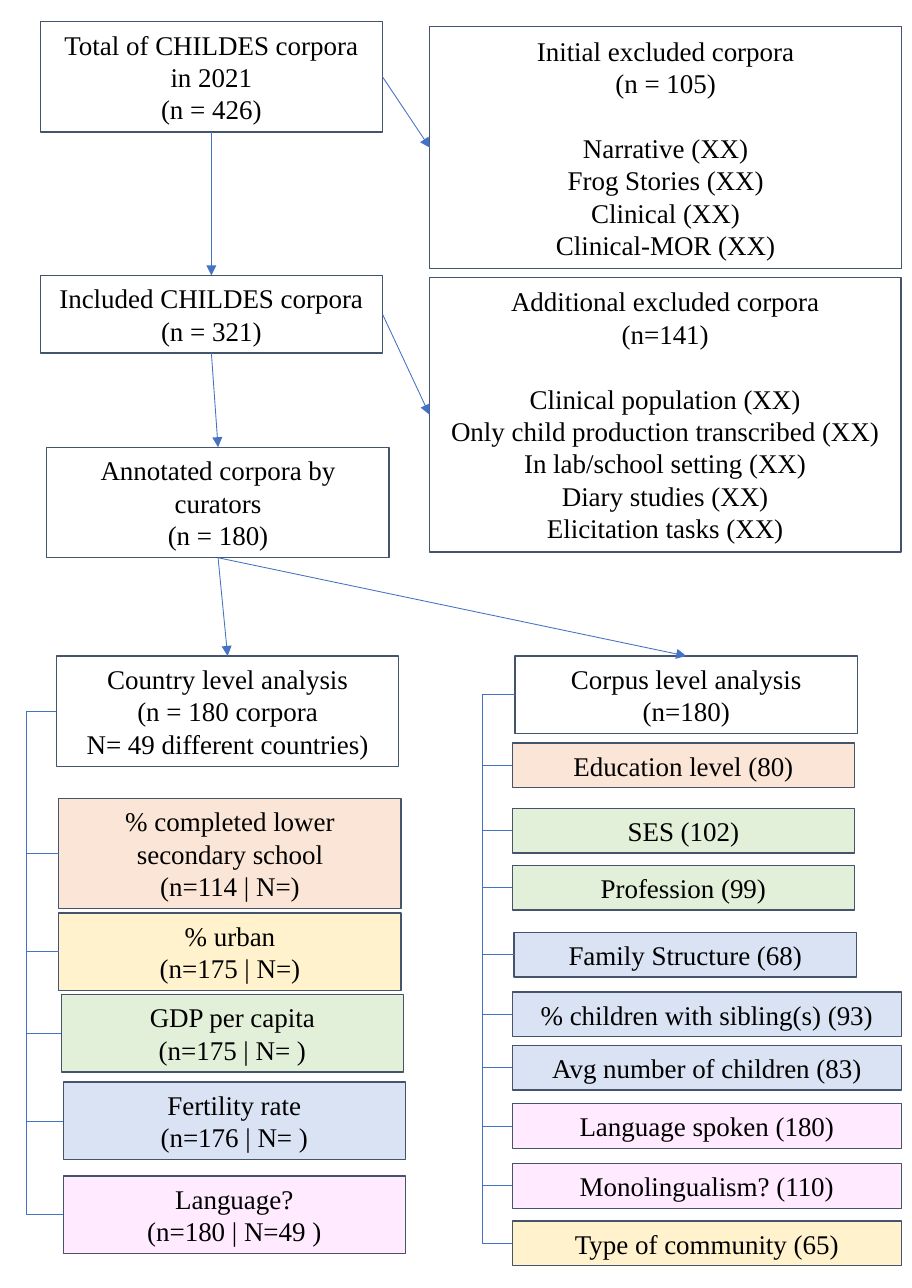
from dataclasses import dataclass

from lxml.etree import SubElement
from pptx import Presentation
from pptx.dml.color import RGBColor
from pptx.enum.shapes import MSO_CONNECTOR as Link, MSO_SHAPE as Preset
from pptx.enum.text import MSO_ANCHOR as Anchor, PP_ALIGN as Align
from pptx.oxml.ns import qn
from pptx.util import Cm, Pt


@dataclass(frozen=True)
class Theme:
    font: str = "Times New Roman"
    size: float = 16
    line_pitch: float = 19.2
    text: str = "000000"
    border: str = "44546A"
    connector: str = "4472C4"
    education: str = "FBE5D6"
    urban: str = "FFF2CC"
    income: str = "E2F0D9"
    family: str = "DAE3F3"
    language: str = "FFEAFF"


THEME = Theme()
SLIDE_SIZE = (19.05, 26.9)
STEP_WIDTH, LIST_WIDTH, EXCLUDED_WIDTH = 7.15, 8.13, 9.85
LINE_HEIGHT, BOX_PADDING = 0.686, 0.25
TOP, LEFT, BOTTOM, RIGHT = range(4)  # connection sites of a rectangle

# name: (left, top, width, rows of text, paragraphs)
STEPS = {
    "total": (0.84, 0.45, STEP_WIDTH, 3,
              ["Total of CHILDES corpora in 2021", "(n = 426)"]),
    "included": (0.84, 5.75, STEP_WIDTH, 2,
                 ["Included CHILDES corpora", "(n = 321)"]),
    "annotated": (0.98, 9.34, STEP_WIDTH, 3,
                  ["Annotated corpora by curators", "(n = 180)"]),
    "country": (1.18, 13.7, STEP_WIDTH, 3,
                ["Country level analysis", "(n = 180 corpora", "N= 49 different countries)"]),
    "corpus": (10.76, 13.7, STEP_WIDTH, 2,
               ["Corpus level analysis", "(n=180)"]),
}
EXCLUSIONS = {
    "initial": (8.98, 0.56, EXCLUDED_WIDTH, 7,
                ["Initial excluded corpora", "(n = 105)", "Narrative (XX)",
                 "Frog Stories (XX)", "Clinical (XX)", "Clinical-MOR (XX)"]),
    "additional": (8.97, 5.79, EXCLUDED_WIDTH, 8,
                   ["Additional excluded corpora", "(n=141)", "Clinical population (XX)",
                    "Only child production transcribed (XX)", "In lab/school setting (XX)",
                    "Diary studies (XX)", "Elicitation tasks (XX)"]),
}
# (left, top, width, rows of text, paragraphs, fill)
COUNTRY_FACTORS = [
    (1.23, 16.67, STEP_WIDTH, 3,
     ["% completed lower secondary school", "(n=114 | N=)"], THEME.education),
    (1.23, 19.07, STEP_WIDTH, 2, ["% urban", "(n=175 | N=)"], THEME.urban),
    (1.28, 20.77, STEP_WIDTH, 2, ["GDP per capita", "(n=175 | N= )"], THEME.income),
    (1.32, 22.6, STEP_WIDTH, 2, ["Fertility rate", "(n=176 | N= )"], THEME.family),
    (1.32, 24.56, STEP_WIDTH, 2, ["Language?", "(n=180 | N=49 )"], THEME.language),
]
CORPUS_FACTORS = [
    (10.7, 15.52, STEP_WIDTH, 1, ["Education level (80)"], THEME.education),
    (10.7, 16.88, STEP_WIDTH, 1, ["SES (102)"], THEME.income),
    (10.7, 18.07, STEP_WIDTH, 1, ["Profession (99)"], THEME.income),
    (10.74, 19.47, STEP_WIDTH, 1, ["Family Structure (68)"], THEME.family),
    (10.7, 20.72, LIST_WIDTH, 1, ["% children with sibling(s) (93)"], THEME.family),
    (10.7, 21.83, LIST_WIDTH, 1, ["Avg number of children (83)"], THEME.family),
    (10.7, 23.05, LIST_WIDTH, 1, ["Language spoken (180)"], THEME.language),
    (10.7, 24.3, LIST_WIDTH, 1, ["Monolingualism? (110)"], THEME.language),
    (10.7, 25.5, LIST_WIDTH, 1, ["Type of community (65)"], THEME.urban),
]
ARROWS = [
    ("total", BOTTOM, "included", TOP),
    ("total", RIGHT, "initial", LEFT),
    ("included", BOTTOM, "annotated", TOP),
    ("included", RIGHT, "additional", LEFT),
    ("annotated", BOTTOM, "country", TOP),
    ("annotated", BOTTOM, "corpus", TOP),
]
# (analysis step, its factors, x of the shared trunk)
BRANCHES = [("country", COUNTRY_FACTORS, 0.55), ("corpus", CORPUS_FACTORS, 10.07)]


def color(value):
    return RGBColor.from_string(value)


def write(text_frame, paragraphs, gap_before=None):
    """Fill a frame; gap_before is the index of a paragraph set off by one empty row."""
    text_frame.word_wrap = True
    text_frame.vertical_anchor = Anchor.MIDDLE
    text_frame.text = "\n".join(paragraphs)
    for index, paragraph in enumerate(text_frame.paragraphs):
        paragraph.alignment = Align.CENTER
        paragraph.line_spacing = Pt(THEME.line_pitch)
        if index == gap_before:
            paragraph.space_before = Pt(THEME.line_pitch)
        font = paragraph.runs[0].font
        font.name, font.size = THEME.font, Pt(THEME.size)
        font.color.rgb = color(THEME.text)


def add_box(slide, left, top, width, rows, paragraphs, fill=None, gap_before=None):
    height = BOX_PADDING + rows * LINE_HEIGHT
    shape = slide.shapes.add_shape(
        Preset.RECTANGLE, Cm(left), Cm(top), Cm(width), Cm(height))
    shape.shadow.inherit = False
    shape.line.color.rgb = color(THEME.border)
    shape.line.width = Pt(0.75)
    if fill:
        shape.fill.solid()
        shape.fill.fore_color.rgb = color(fill)
    else:
        shape.fill.background()
    write(shape.text_frame, paragraphs, gap_before)
    return shape


def link(slide, kind, start, start_site, end, end_site):
    connector = slide.shapes.add_connector(kind, 0, 0, 0, 0)
    connector.begin_connect(start, start_site)
    connector.end_connect(end, end_site)
    connector.line.color.rgb = color(THEME.connector)
    connector.line.width = Pt(0.5)
    SubElement(connector._element.spPr, qn("a:effectLst"))
    return connector


def add_arrow(slide, *ends):
    connector = link(slide, Link.STRAIGHT, *ends)
    SubElement(connector.line._get_or_add_ln(), qn("a:tailEnd"), type="triangle")


def add_branch(slide, step, factor, trunk):
    """Join two left sides by an elbow whose vertical part lies at trunk."""
    connector = link(slide, Link.ELBOW, step, LEFT, factor, LEFT)
    start, end = connector.begin_x, connector.end_x
    bend = round((Cm(trunk) - start) / (end - start) * 100000)
    geometry = connector._element.spPr.find(qn("a:prstGeom"))
    guides = geometry.find(qn("a:avLst"))
    if guides is None:
        guides = SubElement(geometry, qn("a:avLst"))
    SubElement(guides, qn("a:gd"), name="adj1", fmla=f"val {bend}")


def main():
    presentation = Presentation()
    presentation.slide_width, presentation.slide_height = map(Cm, SLIDE_SIZE)
    slide = presentation.slides.add_slide(presentation.slide_layouts[6])

    boxes = {name: add_box(slide, *box) for name, box in STEPS.items()}
    for name, box in EXCLUSIONS.items():
        boxes[name] = add_box(slide, *box, gap_before=2)
    for start, start_site, end, end_site in ARROWS:
        add_arrow(slide, boxes[start], start_site, boxes[end], end_site)
    for step, factors, trunk in BRANCHES:
        for factor in factors:
            add_branch(slide, boxes[step], add_box(slide, *factor), trunk)

    presentation.save("out.pptx")


if __name__ == "__main__":
    main()
